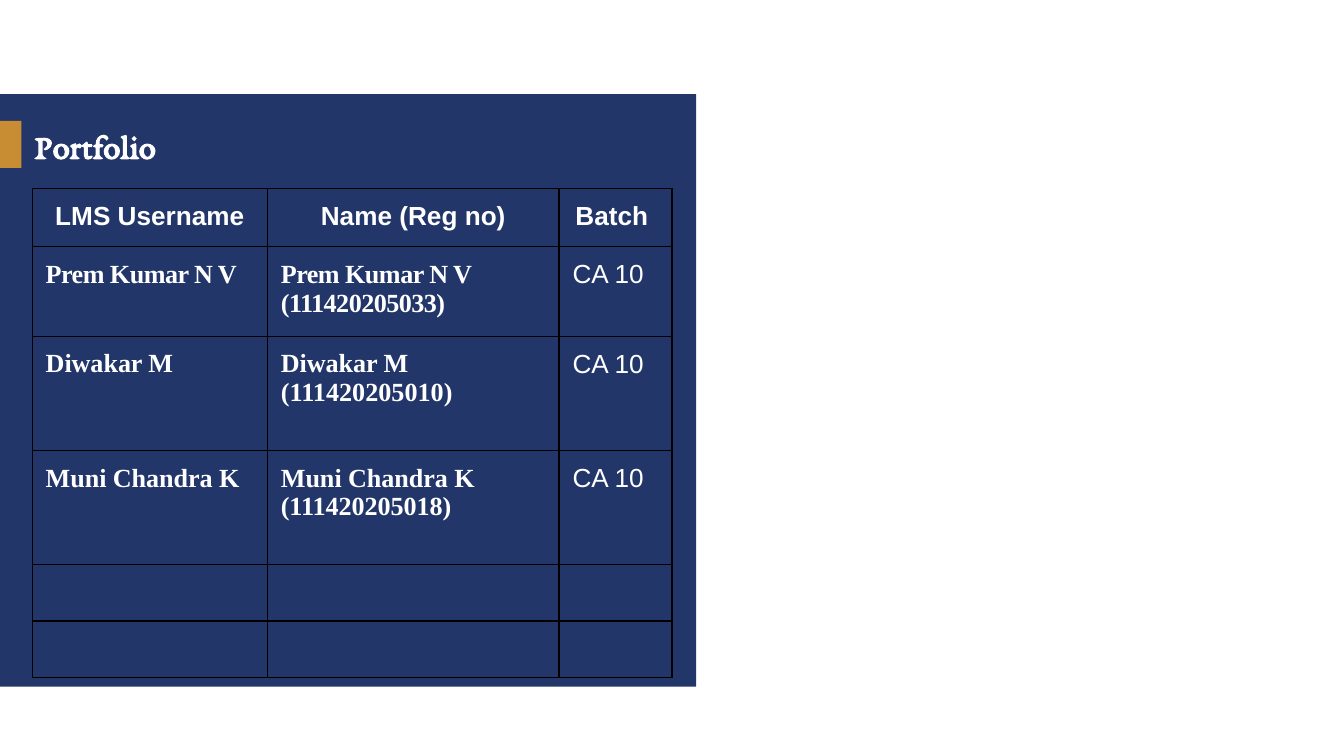
from lxml.etree import SubElement
from pptx import Presentation
from pptx.dml.color import RGBColor
from pptx.enum.shapes import MSO_SHAPE
from pptx.enum.text import MSO_ANCHOR, PP_ALIGN
from pptx.oxml.ns import qn
from pptx.util import Inches, Pt

NAVY = RGBColor(0x22, 0x36, 0x69)
GOLD = RGBColor(0xC8, 0x8C, 0x32)
WHITE = RGBColor(0xFF, 0xFF, 0xFF)
BLACK = RGBColor(0x00, 0x00, 0x00)

TITLE = {"name": "EB Garamond", "size": Pt(18.3), "bold": True}
HEADING = {"name": "Arial", "size": Pt(14), "bold": True}
STUDENT = {"name": "Times New Roman", "size": Pt(14), "bold": True}
BATCH = {"name": "Arial", "size": Pt(14), "bold": False}

HEADINGS = ["LMS Username", "Name (Reg no)", "Batch "]
# Name, registration number, batch, and letter spacing (1/100 pt) of name and number
STUDENTS = [
    ("Prem Kumar N V", "111420205033", "CA 10", -30, -30),
    ("Diwakar M", "111420205010", "CA 10", -5, 0),
    ("Muni Chandra K", "111420205018", "CA 10", -5, -5),
]
COLUMN_WIDTHS = [1.75, 2.17, 0.84]
ROW_HEIGHTS = [0.42, 0.63, 0.85, 0.85, 0.42, 0.42]


def add_block(slide, left, top, width, height, color):
    shape = slide.shapes.add_shape(
        MSO_SHAPE.RECTANGLE, Inches(left), Inches(top), Inches(width), Inches(height))
    shape.shadow.inherit = False
    shape.fill.solid()
    shape.fill.fore_color.rgb = color
    shape.line.fill.background()


def add_run(paragraph, text, font_format, spacing=0):
    run = paragraph.add_run()
    run.text = text
    for name, value in font_format.items():
        setattr(run.font, name, value)
    run.font.color.rgb = WHITE
    if spacing:
        run.font._element.set("spc", str(spacing))


def add_title(slide, text):
    box = slide.shapes.add_textbox(Inches(0.16), Inches(0.89), Inches(3.74), Inches(0.38))
    frame = box.text_frame
    frame.word_wrap = True
    frame.vertical_anchor = MSO_ANCHOR.MIDDLE
    add_run(frame.paragraphs[0], text, TITLE)


def style_cell(cell):
    """Give the cell thin black borders, no fill and a 14 pt paragraph end."""
    properties = cell._tc.get_or_add_tcPr()
    for side in ("lnL", "lnR", "lnT", "lnB"):
        line = SubElement(properties, qn(f"a:{side}"), w=str(Pt(0.75)))
        fill = SubElement(line, qn("a:solidFill"))
        SubElement(fill, qn("a:srgbClr"), val=str(BLACK))
    cell.fill.background()
    paragraph = cell.text_frame.paragraphs[0]
    SubElement(paragraph._p, qn("a:endParaRPr"), sz="1400")


def write_cell(cell, runs, alignment=PP_ALIGN.LEFT):
    """Fill the cell with runs given as (text, font format, spacing)."""
    for side in ("left", "right", "top", "bottom"):
        setattr(cell, f"margin_{side}", Inches(0.1))
    paragraph = cell.text_frame.paragraphs[0]
    paragraph.alignment = alignment
    for run in runs:
        add_run(paragraph, *run)


def add_student_table(slide):
    frame = slide.shapes.add_table(
        len(ROW_HEIGHTS), len(COLUMN_WIDTHS), Inches(0.24), Inches(1.4),
        Inches(sum(COLUMN_WIDTHS)), Inches(sum(ROW_HEIGHTS)))
    table = frame.table
    table.first_row = table.horz_banding = False
    for column, width in zip(table.columns, COLUMN_WIDTHS):
        column.width = Inches(width)
    for row, height in zip(table.rows, ROW_HEIGHTS):
        row.height = Inches(height)
    for cell in table.iter_cells():
        style_cell(cell)

    for column, heading in enumerate(HEADINGS):
        write_cell(table.cell(0, column), [(heading, HEADING)], PP_ALIGN.CENTER)
    for row, student in enumerate(STUDENTS, start=1):
        name, number, batch, name_spacing, number_spacing = student
        write_cell(table.cell(row, 0), [(name, STUDENT, name_spacing)])
        write_cell(table.cell(row, 1), [
            (f"{name} ", STUDENT, name_spacing),
            (f"({number})", STUDENT, number_spacing),
        ])
        write_cell(table.cell(row, 2), [(batch, BATCH)])


def main():
    presentation = Presentation()
    presentation.slide_width = Inches(10)
    presentation.slide_height = Inches(10) * 9 // 16
    slide = presentation.slides.add_slide(presentation.slide_layouts[6])
    add_block(slide, 0, 0.7, 5.18, 4.41, NAVY)
    add_block(slide, 0, 0.9, 0.16, 0.35, GOLD)
    add_title(slide, "Portfolio")
    add_student_table(slide)
    presentation.save("out.pptx")


if __name__ == "__main__":
    main()
